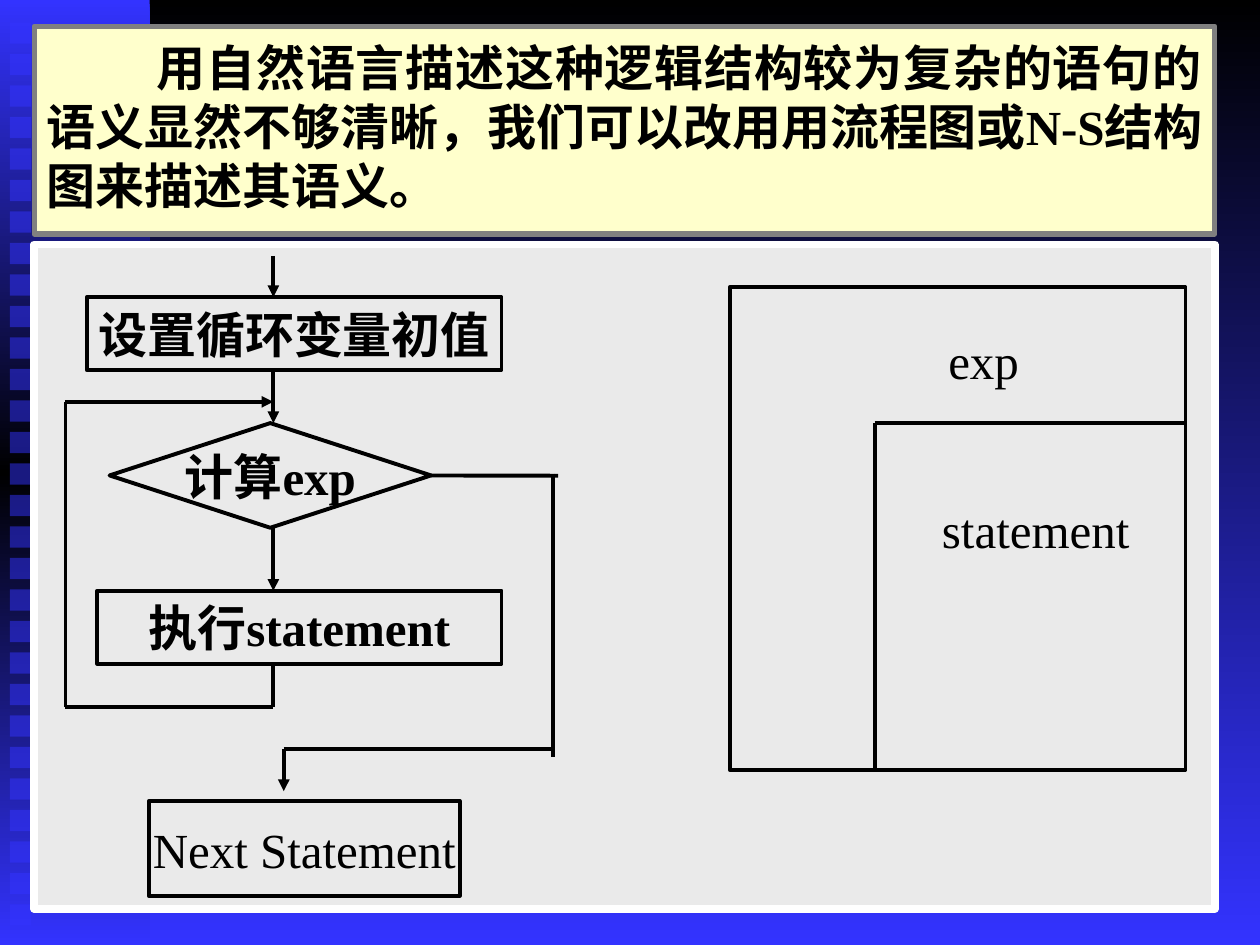
"""Build a slide that explains a loop with a flowchart and an N-S chart."""
from dataclasses import dataclass

from lxml import etree
from pptx import Presentation
from pptx import util as u
from pptx.dml import color
from pptx.enum import shapes, text
from pptx.oxml import ns


@dataclass(frozen=True)
class Theme:
    """Colours, type and line sizes of the slide."""
    ink: str = "000000"
    blue: str = "3333FF"
    note: str = "FFFFCC"
    note_edge: str = "808080"
    panel: str = "EAEAEA"
    panel_edge: str = "FFFFFF"
    font: str = "Times New Roman"
    size: int = 28
    line: float = 2.25
    note_line: float = 3
    panel_line: float = 4.5


THEME = Theme()
SHAPE = shapes.MSO_SHAPE
RIGHT_SIDE = 3


def set_all(target, values):
    """Set each attribute of the target from a dict."""
    for name, value in values.items():
        setattr(target, name, value)


def fill_gradient(fill, owner, colours):
    """Fill from top to bottom with evenly spaced colours."""
    fill.gradient()
    fill.gradient_angle = 270
    stops = owner.find(".//" + ns.qn("a:gsLst"))
    for stop in list(stops):
        stops.remove(stop)
    for index, value in enumerate(colours):
        position = 100000 * index // (len(colours) - 1)
        stop = etree.SubElement(stops, ns.qn("a:gs"), pos=str(position))
        etree.SubElement(stop, ns.qn("a:srgbClr"), val=value)


def add_box(page, bounds, kind=SHAPE.RECTANGLE, fill=None, edge=None, width=THEME.line):
    """Add a preset shape with optional fill and edge."""
    box = page.shapes.add_shape(kind, *map(u.Cm, bounds))
    box.shadow.inherit = False
    if fill:
        box.fill.solid()
        box.fill.fore_color.rgb = color.RGBColor.from_string(fill)
    else:
        box.fill.background()
    if edge:
        box.line.color.rgb = color.RGBColor.from_string(edge)
        box.line.width = u.Pt(width)
    else:
        box.line.fill.background()
    return box


def write(box, wording, bold=False, align=text.PP_ALIGN.CENTER, **frame_format):
    """Put one formatted paragraph into a box and return it."""
    frame = box.text_frame
    set_all(frame, {
        "word_wrap": False,
        "vertical_anchor": text.MSO_ANCHOR.MIDDLE,
        "margin_left": u.Cm(0.25), "margin_right": u.Cm(0.25),
        "margin_top": u.Cm(0.13), "margin_bottom": u.Cm(0.13),
        **frame_format,
    })
    para = frame.paragraphs[0]
    para.alignment = align
    span = para.add_run()
    span.text = wording
    set_all(span.font, {"name": THEME.font, "size": u.Pt(THEME.size), "bold": bold})
    span.font.color.rgb = color.RGBColor.from_string(THEME.ink)
    return para


def add_line(page, start, end, arrow=False):
    """Add a straight line, with an arrowhead at its end if asked."""
    line = page.shapes.add_connector(
        shapes.MSO_CONNECTOR.STRAIGHT, *map(u.Cm, (*start, *end)))
    line.line.color.rgb = color.RGBColor.from_string(THEME.ink)
    line.line.width = u.Pt(THEME.line)
    if arrow:
        etree.SubElement(line.line._get_or_add_ln(), ns.qn("a:tailEnd"), type="triangle")
    etree.SubElement(line._element.spPr, ns.qn("a:effectLst"))
    return line


def add_backdrop(page):
    """Draw the background, the side band and its column of squares."""
    fill_gradient(page.background.fill, page._element, (THEME.ink, THEME.blue))
    band = add_box(page, (0, 0, 3.02, 19.05))
    fill_gradient(band.fill, band._element, (THEME.blue, THEME.ink, THEME.blue))
    count = 29
    pitch = 17.78 / (count - 1)
    for index in range(count):
        square = add_box(page, (0.2, 0.45 + index * pitch, 0.43, 0.43), fill=THEME.blue)
        tint = square._element.spPr.find(".//" + ns.qn("a:srgbClr"))
        etree.SubElement(tint, ns.qn("a:alpha"), val="50000")


def add_note(page):
    """Add the framed introduction."""
    box = add_box(page, (0.69, 0.53, 23.8, 4.19), fill=THEME.note,
                  edge=THEME.note_edge, width=THEME.note_line)
    para = write(
        box,
        "用自然语言描述这种逻辑结构较为复杂的语句的语义显然不够清晰，"
        "我们可以改用用流程图或N-S结构图来描述其语义。",
        bold=True, align=text.PP_ALIGN.JUSTIFY, word_wrap=True,
        vertical_anchor=text.MSO_ANCHOR.TOP, margin_top=u.Cm(0.23))
    para._p.get_or_add_pPr().set("indent", str(u.Cm(2.22)))


def add_ns_chart(page):
    """Draw the N-S chart of the loop."""
    left, top, width, height = 14.71, 5.79, 9.19, 9.73
    corner = (17.63, 8.53)
    outer = add_box(page, (left, top, width, height), edge=THEME.ink)
    write(outer, "statement", align=text.PP_ALIGN.LEFT, word_wrap=True,
          margin_left=u.Cm(4.28))
    add_line(page, corner, (left + width, corner[1]))
    add_line(page, corner, (corner[0], top + height))
    label = page.shapes.add_textbox(*map(u.Cm, (16.59, 6.63, 6.48, 1.27)))
    write(label, "exp")


def add_flowchart(page):
    """Draw the flowchart of the loop."""
    steps = (
        ("设置循环变量初值", SHAPE.FLOWCHART_PROCESS, (1.75, 5.99, 8.36, 1.47), True),
        ("计算exp", SHAPE.FLOWCHART_DECISION, (2.21, 8.53, 6.48, 2.11), True),
        ("执行statement", SHAPE.FLOWCHART_PROCESS, (1.96, 11.91, 8.15, 1.47), True),
        ("Next Statement", SHAPE.RECTANGLE, (3, 16.15, 6.27, 1.91), False),
    )
    boxes = []
    for wording, kind, bounds, bold in steps:
        box = add_box(page, bounds, kind, edge=THEME.ink)
        write(box, wording, bold)
        boxes.append(box)

    main_x, back_x, exit_x, next_x = 5.51, 1.32, 11.15, 5.72
    back_top, back_bottom, exit_y, next_y = 8.1, 14.25, 9.59, 15.09
    for top, bottom in ((5.16, 5.99), (7.46, 8.53), (10.64, 11.91)):
        add_line(page, (main_x, top), (main_x, bottom), arrow=True)

    add_line(page, (main_x, 13.38), (main_x, back_bottom))
    add_line(page, (back_x, back_bottom), (main_x, back_bottom))
    add_line(page, (back_x, back_bottom), (back_x, back_top))
    add_line(page, (back_x, back_top), (main_x, back_top), arrow=True)

    leave = add_line(page, (8.69, exit_y), (11.25, exit_y))
    leave.begin_connect(boxes[1], RIGHT_SIDE)
    add_line(page, (exit_x, 9.55), (exit_x, 15.27))
    add_line(page, (next_x, next_y), (exit_x, next_y))
    add_line(page, (next_x, next_y), (next_x, 15.95), arrow=True)


def main():
    """Build and save the deck."""
    deck = Presentation()
    set_all(deck, {"slide_width": u.Cm(25.4), "slide_height": u.Cm(19.05)})
    page = deck.slides.add_slide(deck.slide_layouts[6])
    add_backdrop(page)
    add_note(page)
    add_box(page, (0.69, 4.93, 23.8, 13.39), fill=THEME.panel,
            edge=THEME.panel_edge, width=THEME.panel_line)
    add_ns_chart(page)
    add_flowchart(page)
    deck.save("out.pptx")


if __name__ == "__main__":
    main()
